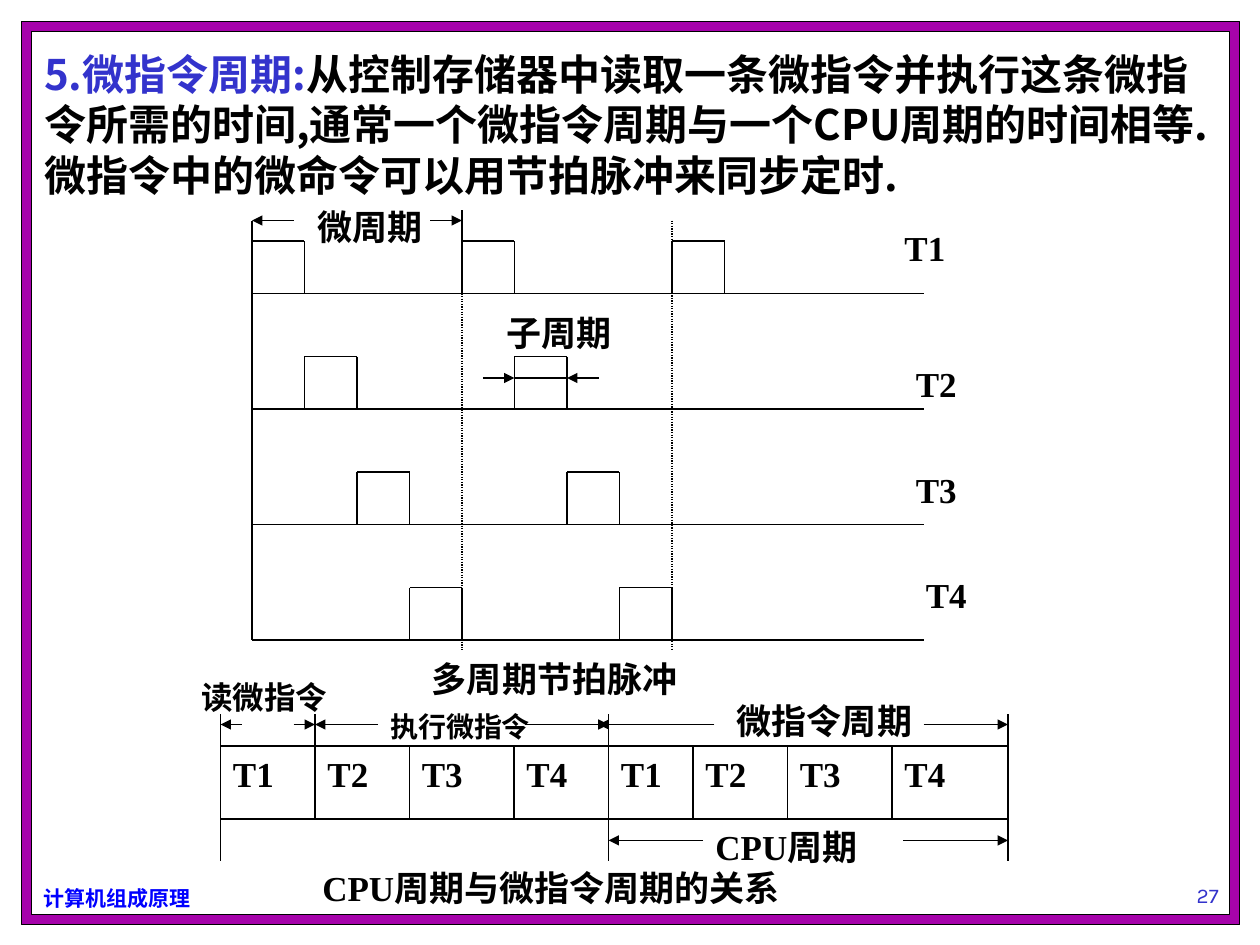
import pptx
import pptx.dml.color
import pptx.enum.dml
import pptx.enum.shapes
import pptx.enum.text
import pptx.oxml
import pptx.oxml.ns
import pptx.util

Inches = pptx.util.Inches
Pt = pptx.util.Pt
RGBColor = pptx.dml.color.RGBColor
ALIGN = pptx.enum.text.PP_ALIGN
ANCHOR = pptx.enum.text.MSO_ANCHOR
DOTTED = pptx.enum.dml.MSO_LINE.ROUND_DOT

BLACK = RGBColor(0, 0, 0)
WHITE = RGBColor(0xFF, 0xFF, 0xFF)
PURPLE = RGBColor(0xA6, 0x03, 0xAB)
INDIGO = RGBColor(0x33, 0x33, 0xCC)
BLUE = RGBColor(0, 0, 0xFF)
SERIF = "Times New Roman"
CJK = "Noto Sans CJK SC"


def add_xml(parent, tag, attributes=""):
    namespace = pptx.oxml.ns.nsdecls("a")
    parent.append(pptx.oxml.parse_xml(f"<a:{tag} {namespace} {attributes}/>"))


def add_run(p, text, size, color=BLACK, name=SERIF, bold=True):
    r = p.add_run()
    r.text = text
    for key, value in {"size": Pt(size), "bold": bold, "name": name}.items():
        setattr(r.font, key, value)
    r.font.color.rgb = color
    add_xml(r.font._element, "ea", f'typeface="{CJK}"')


def add_label(s, text, left, top, width, height=0.44, size=20, **font):
    sp = s.shapes.add_textbox(Inches(left), Inches(top), Inches(width), Inches(height))
    tf = sp.text_frame
    tf.word_wrap = True
    p = tf.paragraphs[0]
    p.line_spacing = Pt(size * 1.2)
    add_run(p, text, size, **font)
    return sp


def add_line(s, x1, y1, x2, y2, arrow=False, dash=None):
    line = s.shapes.add_connector(
        pptx.enum.shapes.MSO_CONNECTOR.STRAIGHT,
        Inches(x1), Inches(y1), Inches(x2), Inches(y2))
    line.line.color.rgb = BLACK
    line.line.width = Pt(0.75)
    if dash:
        line.line.dash_style = dash
    if arrow:
        add_xml(line.line._get_or_add_ln(), "tailEnd", 'type="triangle"')
    add_xml(line._element.spPr, "effectLst")


def add_box(s, left, top, width, height, fill):
    sp = s.shapes.add_shape(
        pptx.enum.shapes.MSO_SHAPE.RECTANGLE,
        Inches(left), Inches(top), Inches(width), Inches(height))
    sp.shadow.inherit = False
    sp.fill.solid()
    sp.fill.fore_color.rgb = fill
    sp.line.color.rgb = BLACK
    sp.line.width = Pt(0.75)


def add_frame(s, left, top, width, height):
    """Draw the purple border, the course name and the page number."""
    border = 0.08
    add_box(s, left, top, width, height, PURPLE)
    add_box(s, left + border, top + border, width - 2 * border, height - 2 * border, WHITE)
    add_label(s, "计算机组成原理", left + 0.08, top + 6.81, 1.6, 0.3, 12,
              color=BLUE, name=CJK)
    number = add_label(s, "27", left + 8.5, top + 6.58, 1.83, 0.5, 12,
                       color=INDIGO, name="Karla", bold=False)
    number.text_frame.vertical_anchor = ANCHOR.BOTTOM
    number.text_frame.paragraphs[0].alignment = ALIGN.CENTER


def add_definition(s, left, top, width, height):
    """Fill the title placeholder and bring it in front of the frame."""
    title = s.shapes.title
    box = {"left": left, "top": top, "width": width, "height": height}
    for key, value in box.items():
        setattr(title, key, Inches(value))
    tf = title.text_frame
    settings = {"word_wrap": True, "vertical_anchor": ANCHOR.TOP,
                "auto_size": pptx.enum.text.MSO_AUTO_SIZE.NONE}
    for key, value in settings.items():
        setattr(tf, key, value)
    p = tf.paragraphs[0]
    p.alignment = ALIGN.LEFT
    p.line_spacing = Pt(29)
    add_run(p, "5.微指令周期:", 24, INDIGO, CJK)
    add_run(p, "从控制存储器中读取一条微指令并执行这条微指令所需的时间,"
               "通常一个微指令周期与一个CPU周期的时间相等."
               "微指令中的微命令可以用节拍脉冲来同步定时.", 24, name=CJK)
    s.shapes.element.append(title._element)


def add_pulse(s, left, base, width, height):
    top, right = base - height, left + width
    add_line(s, left, base, left, top)
    add_line(s, left, top, right, top)
    add_line(s, right, top, right, base)


def add_timing_diagram(s, left, top, width):
    """Draw four clock rows, each pulse one sub-period later than the row above."""
    beat, row_gap, first_base = 5 / 12, 11 / 12, 0.58
    period = 4 * beat
    label_places = [(5.08, 0), (5.17, 1.08), (5.17, 1.92), (5.25, 2.75)]
    for row, (label_x, label_y) in enumerate(label_places):
        base = top + first_base + row * row_gap
        add_line(s, left, base, left + width, base)
        for cycle in range(3 if row == 0 else 2):
            add_pulse(s, left + cycle * period + row * beat, base, beat, beat)
        add_label(s, f"T{row + 1}", left + label_x, top + label_y, 1.17)

    bottom = top + first_base + 3 * row_gap
    second, third = left + period, left + 2 * period
    add_line(s, left, top, left, bottom)
    add_line(s, second, top - 0.08, second, top + 0.25)
    add_line(s, second, top + 0.17, second, bottom + 0.08, dash=DOTTED)
    add_line(s, third, top, third, bottom + 0.08, dash=DOTTED)

    add_line(s, left + 0.33, top, left, top, arrow=True)
    add_line(s, second - 0.25, top, second, top, arrow=True)
    add_label(s, "微周期", left + 0.42, top - 0.17, 1.33)

    start, end, y = second + beat, second + 2 * beat, top + 1.25
    add_line(s, start - 0.25, y, start, y, arrow=True)
    add_line(s, start, y, end, y)
    add_line(s, end + 0.25, y, end, y, arrow=True)
    add_label(s, "子周期", left + 1.92, top + 0.67, 1.5)
    add_label(s, "多周期节拍脉冲", left + 1.33, top + 3.42, 5.33)


def add_cycle_strip(s, left, top, width, height):
    """Draw two CPU cycles of four beats with their dimension arrows."""
    edges = [0, 0.75, 1.5, 2.33, 3.08, 3.75, 4.5, 5.33, width]
    add_box(s, left, top, width, height, WHITE)
    for i, (start, end) in enumerate(zip(edges, edges[1:])):
        if start:
            add_line(s, left + start, top, left + start, top + height)
        add_label(s, f"T{i % 4 + 1}", left + start, top, end - start)

    read_end, middle = edges[1], edges[4]
    for x, end in [(0, 0.91), (read_end, 0.08), (middle, 0.91), (width, 0.91)]:
        add_line(s, left + x, top - 0.25, left + x, top + end)

    upper, lower = -0.17, 0.75
    arrows = [(0.17, 0, upper), (0.58, read_end, upper), (1.25, read_end, upper),
              (2.42, middle, upper), (3.92, 3, upper), (5.58, width, upper),
              (3.83, middle, lower), (5.42, width, lower)]
    for start, tip, y in arrows:
        add_line(s, left + start, top + y, left + tip, top + y, arrow=True)

    captions = [("读微指令", -0.25, -0.59, 1.33, 18),
                ("执行微指令", 1.25, -0.34, 2.08, 16),
                ("微指令周期", 4, -0.42, 1.67, 20),
                ("CPU周期", 3.83, 0.58, 1.67, 20),
                ("CPU周期与微指令周期的关系", 0.71, 0.91, 5.54, 20)]
    for text, x, y, label_width, size in captions:
        add_label(s, text, left + x, top + y, label_width, size=size)


def main():
    prs = pptx.Presentation()
    prs.slide_width, prs.slide_height = Inches(10), Inches(7.5)
    s = prs.slides.add_slide(prs.slide_layouts[5])
    add_frame(s, 0.17, 0.17, 9.67, 7.17)
    add_definition(s, 0.25, 0.33, 9.6, 1.3)
    add_timing_diagram(s, 2, 1.75, 5.33)
    add_cycle_strip(s, 1.75, 5.92, 6.25, 0.58)
    prs.save("out.pptx")


if __name__ == "__main__":
    main()
